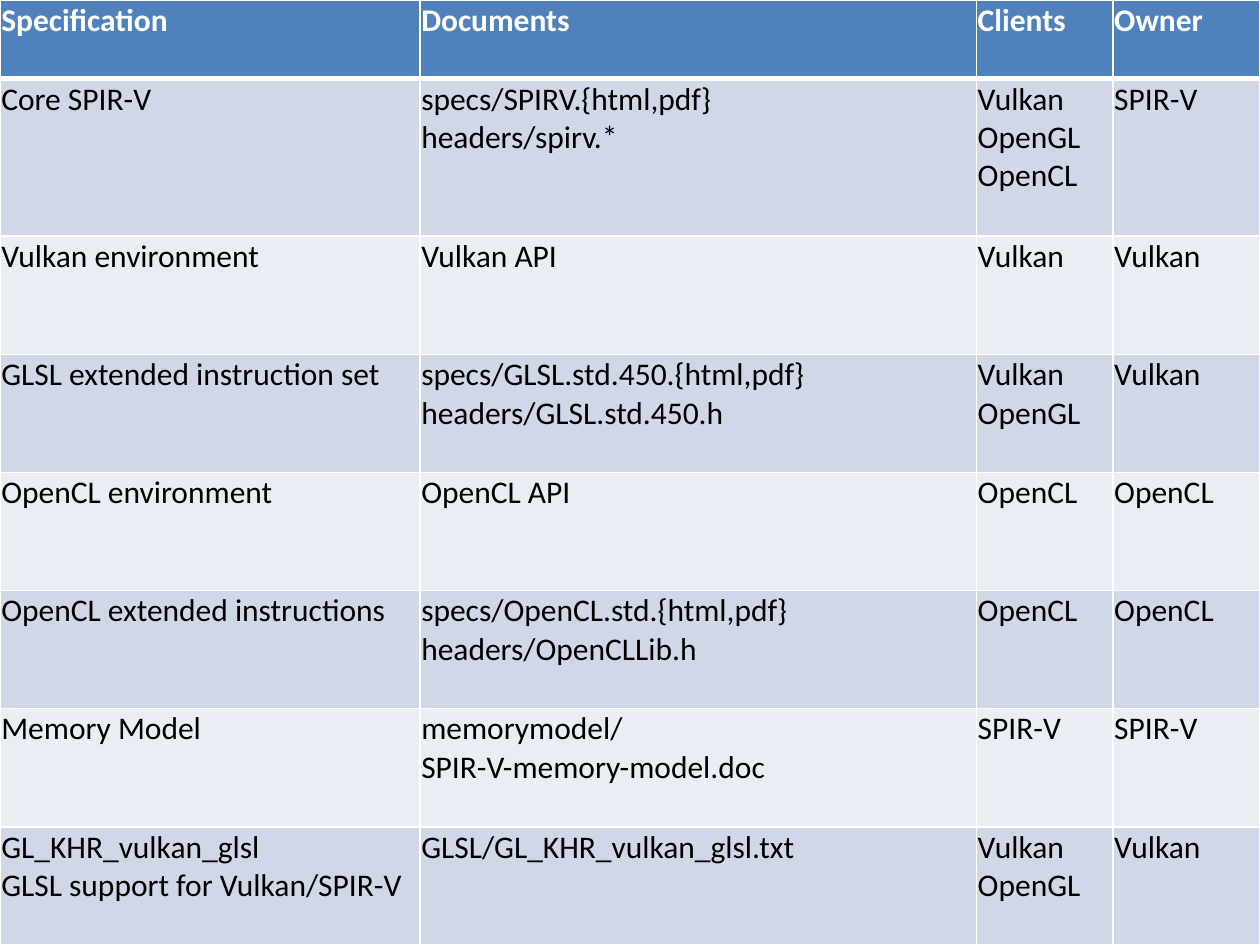
"""Build a slide with a full-page table of specifications and their owners."""
import pptx
import pptx.dml.color
import pptx.oxml
import pptx.oxml.ns
import pptx.util

Pt = pptx.util.Pt

HEAD = ("Specification", "Documents", "Clients", "Owner")
BODY = [
    ("Core SPIR-V", "specs/SPIRV.{html,pdf}\nheaders/spirv.*",
     "Vulkan\nOpenGL\nOpenCL", "SPIR-V"),
    ("Vulkan environment", "Vulkan API", "Vulkan", "Vulkan"),
    ("GLSL extended instruction set",
     "specs/GLSL.std.450.{html,pdf}\nheaders/GLSL.std.450.h",
     "Vulkan\nOpenGL", "Vulkan"),
    ("OpenCL environment", "OpenCL API", "OpenCL", "OpenCL"),
    ("OpenCL extended instructions",
     "specs/OpenCL.std.{html,pdf}\nheaders/OpenCLLib.h", "OpenCL", "OpenCL"),
    ("Memory Model", "memorymodel/\nSPIR-V-memory-model.doc",
     "SPIR-V", "SPIR-V"),
    ("GL_KHR_vulkan_glsl\nGLSL support for Vulkan/SPIR-V",
     "GLSL/GL_KHR_vulkan_glsl.txt", "Vulkan\nOpenGL", "Vulkan"),
]
ROWS = [HEAD] + BODY
WIDTHS = (240, 318, 78, 84)
HEIGHTS = [45, 90] + [67.5] * (len(BODY) - 1)
BLUE, WHITE, BLACK = "4F81BD", "FFFFFF", "000000"
BANDS = ("D0D8E8", "E9EDF4")


def color(value):
    return pptx.dml.color.RGBColor.from_string(value)


def write(cell, text, size=18, ink=BLACK, bold=False):
    para = cell.text_frame.paragraphs[0]
    para.text = text
    for run in para.runs:
        run.font.name = "Calibri"
        run.font.size = Pt(size)
        run.font.bold = bold
        run.font.color.rgb = color(ink)


def edge(cell, **sides):
    props = cell._tc.get_or_add_tcPr()
    for spot, (side, width) in enumerate(sides.items()):
        props.insert(spot, pptx.oxml.parse_xml(
            f'<a:ln{side} {pptx.oxml.ns.nsdecls("a")} w="{Pt(width)}">'
            f'<a:solidFill><a:srgbClr val="{WHITE}"/></a:solidFill>'
            f'</a:ln{side}>'))


def main():
    deck = pptx.Presentation()
    deck.slide_width, deck.slide_height = Pt(720), Pt(540)
    slide = deck.slides.add_slide(deck.slide_layouts[6])
    table = slide.shapes.add_table(
        len(ROWS), len(WIDTHS), 0, 0, Pt(sum(WIDTHS)), Pt(sum(HEIGHTS))).table
    for col, width in zip(table.columns, WIDTHS):
        col.width = Pt(width)
    for i, (row, high) in enumerate(zip(ROWS, HEIGHTS)):
        table.rows[i].height = Pt(high)
        head = i == 0
        for j, text in enumerate(row):
            cell = table.cell(i, j)
            cell.margin_left = cell.margin_right = Pt(0.75)
            cell.margin_top = cell.margin_bottom = Pt(0.75)
            write(cell, text, ink=WHITE if head else BLACK, bold=head)
            cell.fill.solid()
            cell.fill.fore_color.rgb = color(BLUE if head else BANDS[(i - 1) % 2])
            edge(cell, L=1, R=1, T=3 if i == 1 else 1, B=3 if head else 1)
    deck.save("out.pptx")


if __name__ == "__main__":
    main()
